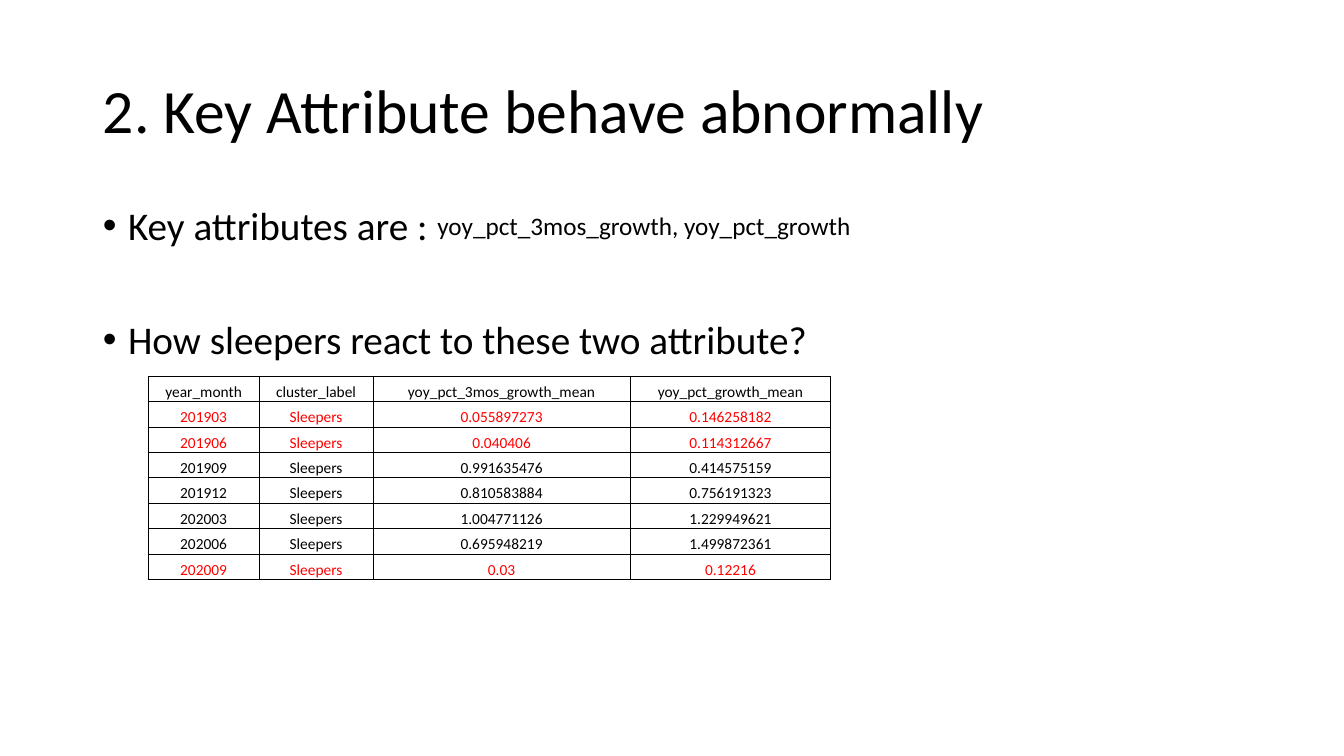
"""Build the slide on key attributes that behave abnormally."""
from lxml import etree
from pptx import Presentation
from pptx import util as u
from pptx.dml.color import RGBColor
from pptx.enum import text
from pptx.oxml import ns

FONT = "Calibri"
COLORS = {"ink": "000000", "alert": "FF0000"}
COLS = [1.1, 1.13, 2.55, 1.99]
ROW = 2.02 / 8
HEADS = ["year_month", "cluster_label",
         "yoy_pct_3mos_growth_mean", "yoy_pct_growth_mean"]
GROWTH = [
    ("201903", "0.055897273", "0.146258182"),
    ("201906", "0.040406", "0.114312667"),
    ("201909", "0.991635476", "0.414575159"),
    ("201912", "0.810583884", "0.756191323"),
    ("202003", "1.004771126", "1.229949621"),
    ("202006", "0.695948219", "1.499872361"),
    ("202009", "0.03", "0.12216"),
]
ALERTS = {"201903", "201906", "202009"}


def place(shape, left, top, width, height):
    shape.left, shape.top = u.Inches(left), u.Inches(top)
    shape.width, shape.height = u.Inches(width), u.Inches(height)


def style(para, size, color="ink", align=text.PP_ALIGN.LEFT):
    para.font.name = FONT
    para.font.size = u.Pt(size)
    para.font.color.rgb = RGBColor.from_string(COLORS[color])
    para.alignment = align


def add_title(slide, words):
    title = slide.shapes.title
    place(title, 0.92, 0.4, 11.5, 1.45)
    frame = title.text_frame
    frame.text = words
    frame.auto_size = text.MSO_AUTO_SIZE.NONE
    frame.vertical_anchor = text.MSO_ANCHOR.MIDDLE
    style(frame.paragraphs[0], 44)
    frame.paragraphs[0].line_spacing = 0.9


def add_list(slide, items):
    body = slide.placeholders[1]
    place(body, 0.92, 2, 11.5, 4.76)
    frame = body.text_frame
    frame.text = "\n".join(words for words, gap in items)
    frame.auto_size = text.MSO_AUTO_SIZE.NONE
    for para, (words, gap) in zip(frame.paragraphs, items):
        style(para, 28)
        para.line_spacing = 0.9
        para.space_before = u.Pt(gap)
        props = para._p.get_or_add_pPr()
        props.set("marL", str(u.Inches(0.25)))
        props.set("indent", str(u.Inches(-0.25)))
        etree.SubElement(props, ns.qn("a:buFont")).set("typeface", "Arial")
        etree.SubElement(props, ns.qn("a:buChar")).set("char", "•")
        props.append(props.find(ns.qn("a:defRPr")))


def add_label(slide, words):
    box = slide.shapes.add_textbox(
        u.Inches(4.24), u.Inches(2.04), u.Inches(4.34), u.Inches(0.4))
    frame = box.text_frame
    frame.text = words
    frame.word_wrap = False
    frame.auto_size = text.MSO_AUTO_SIZE.SHAPE_TO_FIT_TEXT
    style(frame.paragraphs[0], 18)


def add_edges(cell):
    props = cell._tc.get_or_add_tcPr()
    for spot, side in enumerate(("lnL", "lnR", "lnT", "lnB")):
        line = etree.Element(ns.qn(f"a:{side}"), w=str(u.Pt(0.5)))
        fill = etree.SubElement(line, ns.qn("a:solidFill"))
        etree.SubElement(fill, ns.qn("a:srgbClr")).set("val", COLORS["ink"])
        props.insert(spot, line)


def fill_cell(cell, words, color):
    cell.text = words
    cell.fill.background()
    cell.vertical_anchor = text.MSO_ANCHOR.BOTTOM
    cell.margin_left = cell.margin_right = cell.margin_top = u.Inches(0.01)
    cell.margin_bottom = 0
    style(cell.text_frame.paragraphs[0], 11, color, text.PP_ALIGN.CENTER)
    add_edges(cell)


def add_grid(slide):
    rows = [HEADS] + [(month, "Sleepers", quarter, year)
                      for month, quarter, year in GROWTH]
    table = slide.shapes.add_table(
        len(rows), len(COLS), u.Inches(1.47), u.Inches(3.73),
        u.Inches(sum(COLS)), u.Inches(ROW * len(rows))).table
    table.first_row = table.horz_banding = False
    for col, width in zip(table.columns, COLS):
        col.width = u.Inches(width)
    for r, row in enumerate(rows):
        table.rows[r].height = u.Inches(ROW)
        color = "alert" if row[0] in ALERTS else "ink"
        for c, words in enumerate(row):
            fill_cell(table.cell(r, c), words, color)


def main():
    deck = Presentation()
    deck.slide_width, deck.slide_height = u.Inches(13.33), u.Inches(7.5)
    slide = deck.slides.add_slide(deck.slide_layouts[1])
    add_title(slide, "2. Key Attribute behave abnormally")
    add_list(slide, [("Key attributes are :", 10),
                     ("How sleepers react to these two attribute?", 51)])
    add_grid(slide)
    add_label(slide, "yoy_pct_3mos_growth, yoy_pct_growth")
    deck.save("out.pptx")


if __name__ == "__main__":
    main()
